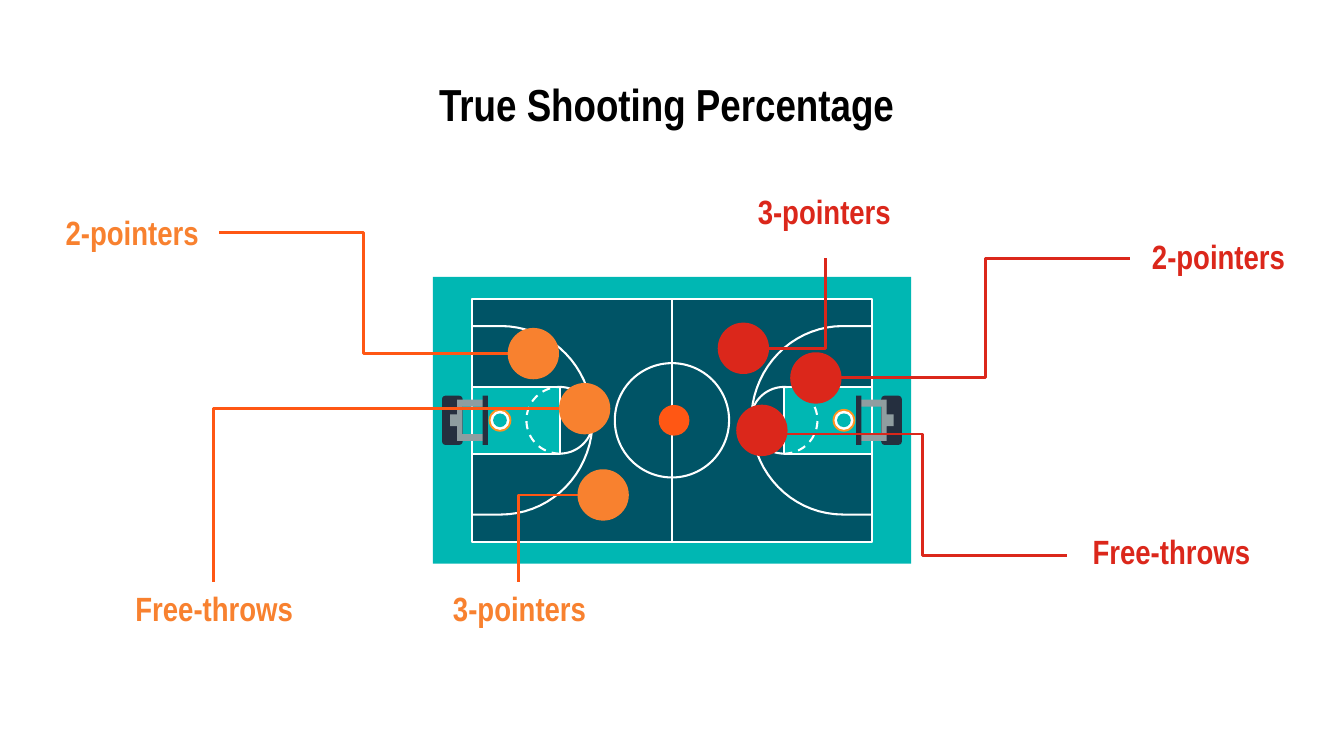
"""Build a slide that labels the shots counted in true shooting percentage on a basketball court."""
from math import cos, radians, sin

from lxml.etree import SubElement
from pptx import Presentation
from pptx.dml.color import RGBColor
from pptx.enum.dml import MSO_LINE
from pptx.enum.shapes import MSO_CONNECTOR, MSO_SHAPE
from pptx.enum.text import MSO_ANCHOR, PP_ALIGN
from pptx.oxml.ns import qn
from pptx.util import Cm, Pt

COLORS = {
    "black": "000000", "white": "FFFFFF", "floor": "005466", "border": "00B7B3",
    "post": "252F3F", "bracket": "8F9DA0", "rim": "FF931E", "ball": "FF5714",
    "orange": "F8812F", "orange line": "FF5714", "red": "DB271B", "red line": "DB271B",
}
FONT = "Arial Narrow"
PAGE_WIDTH, PAGE_HEIGHT = 25.4, 14.28
CENTER_X, CENTER_Y = 12.7, 7.94
COURT_LEFT, COURT_WIDTH, COURT_HEIGHT = 8.92, 7.56, 4.6
KEY_RIGHT, KEY_HEIGHT = 10.58, 1.26
HOOP_X = 9.45
DOT_SIZE = 0.97
TITLE = "True Shooting Percentage"

# label, team, label centre, dot centre, line start, line end, connector preset
CALLOUTS = [
    ("2-pointers", "orange", (2.5, 4.39), (10.08, 6.68), (9.6, 6.68), (4.14, 4.39), "bentConnector3"),
    ("Free-throws", "orange", (4.05, 11.48), (11.05, 7.72), (10.57, 7.72), (4.04, 11), "bentConnector2"),
    ("3-pointers", "orange", (9.82, 11.48), (11.4, 9.35), (10.92, 9.35), (9.8, 11), "bentConnector2"),
    ("3-pointers", "red", (15.58, 3.99), (14.05, 6.58), (14.53, 6.58), (15.6, 4.88), "bentConnector2"),
    ("2-pointers", "red", (23.03, 4.83), (15.42, 7.14), (15.9, 7.14), (21.36, 4.88), "bentConnector3"),
    ("Free-throws", "red", (22.14, 10.41), (14.4, 8.13), (14.71, 8.2), (20.17, 10.49), "bentConnector3"),
]
HOOP_RINGS = [("rim", 0.43), ("white", 0.36), ("border", 0.26)]
BRACKET_TOP = [(8.74, 7.68), (9.14, 7.68), (9.14, 7.55), (8.64, 7.55), (8.64, 7.83), (8.51, 7.83)]


def color(name):
    return RGBColor.from_string(COLORS[name])


def paint(shape, fill=None, line=None):
    shape.shadow.inherit = False
    if fill:
        shape.fill.solid()
        shape.fill.fore_color.rgb = color(fill)
    else:
        shape.fill.background()
    if line:
        shape.line.color.rgb = color(line)
        shape.line.width = Pt(1.1)
    else:
        shape.line.fill.background()
    return shape


def add_centered(page, kind, center, width, height, fill=None, line=None):
    x, y = center
    shape = page.shapes.add_shape(
        kind, Cm(x - width / 2), Cm(y - height / 2), Cm(width), Cm(height))
    return paint(shape, fill, line)


def add_outline(page, points, fill=None, line=None, close=False):
    corners = [(Cm(x), Cm(y)) for x, y in points]
    builder = page.shapes.build_freeform(*corners[0])
    builder.add_line_segments(corners[1:], close=close)
    return paint(builder.convert_to_shape(), fill, line)


def add_line(page, start, end, line, width, preset="line"):
    connector = page.shapes.add_connector(
        MSO_CONNECTOR.ELBOW, Cm(start[0]), Cm(start[1]), Cm(end[0]), Cm(end[1]))
    properties = connector.element.spPr
    properties.find(qn("a:prstGeom")).set("prst", preset)
    connector.line.color.rgb = color(line)
    connector.line.width = Pt(width)
    SubElement(properties, qn("a:effectLst"))


def add_text(page, text, center, width, height, size, ink):
    x, y = center
    box = page.shapes.add_textbox(
        Cm(x - width / 2), Cm(y - height / 2), Cm(width), Cm(height))
    frame = box.text_frame
    frame.text = text
    frame.word_wrap = True
    frame.vertical_anchor = MSO_ANCHOR.MIDDLE
    frame.margin_left = frame.margin_right = frame.margin_top = frame.margin_bottom = Cm(0.25)
    paragraph = frame.paragraphs[0]
    paragraph.alignment = PP_ALIGN.CENTER
    font = paragraph.runs[0].font
    font.name, font.size, font.bold = FONT, Pt(size), True
    font.color.rgb = color(ink)


def arc(x, radius_x, radius_y, first, last):
    steps = 36
    angles = [radians(first + (last - first) * step / steps) for step in range(steps + 1)]
    return [(x + radius_x * cos(angle), CENTER_Y + radius_y * sin(angle)) for angle in angles]


def add_half(page, mirrored):
    def place(points):
        return [(2 * CENTER_X - x, y) if mirrored else (x, y) for x, y in points]

    def middle(x):
        return place([(x, CENTER_Y)])[0]

    key_width = KEY_RIGHT - COURT_LEFT
    key_radius = KEY_HEIGHT / 2
    add_centered(page, MSO_SHAPE.RECTANGLE, middle(COURT_LEFT + key_width / 2),
                 key_width, KEY_HEIGHT, "border", "white")
    curve = arc(9.47, 1.73, 1.78, -90, 90)
    three_point = [(COURT_LEFT, curve[0][1]), *curve, (COURT_LEFT, curve[-1][1])]
    add_outline(page, place(three_point), line="white")
    add_outline(page, place(arc(KEY_RIGHT, key_radius, key_radius, -90, 90)), line="white")
    dashed = add_outline(page, place(arc(KEY_RIGHT, key_radius, key_radius, 90, 270)), line="white")
    dashed.line.dash_style = MSO_LINE.DASH

    add_centered(page, MSO_SHAPE.ROUNDED_RECTANGLE, middle(8.55), 0.39, 0.93, "post")
    bracket_bottom = [(x, 2 * CENTER_Y - y) for x, y in reversed(BRACKET_TOP)]
    add_outline(page, place(BRACKET_TOP + bracket_bottom), "bracket", close=True)
    add_centered(page, MSO_SHAPE.RECTANGLE, middle(9.17), 0.1, 0.93, "post")
    for fill, size in HOOP_RINGS:
        add_centered(page, MSO_SHAPE.OVAL, middle(HOOP_X), size, size, fill)


def add_court(page):
    center = (CENTER_X, CENTER_Y)
    add_centered(page, MSO_SHAPE.RECTANGLE, center, 9.04, 5.42, "border")
    add_centered(page, MSO_SHAPE.RECTANGLE, center, COURT_WIDTH, COURT_HEIGHT, "floor", "white")
    add_line(page, (CENTER_X, CENTER_Y - COURT_HEIGHT / 2),
             (CENTER_X, CENTER_Y + COURT_HEIGHT / 2), "white", 1.1)
    add_centered(page, MSO_SHAPE.OVAL, center, 2.16, 2.16, line="white")
    for mirrored in (False, True):
        add_half(page, mirrored)


def main():
    deck = Presentation()
    deck.slide_width, deck.slide_height = Cm(PAGE_WIDTH), Cm(PAGE_HEIGHT)
    page = deck.slides.add_slide(deck.slide_layouts[6])
    add_text(page, TITLE, (12.6, 1.95), 22.86, 1.6, 24, "black")
    add_court(page)
    for label, team, label_center, dot, start, end, preset in CALLOUTS:
        add_text(page, label, label_center, 5.51, 0.97, 18, team)
        add_line(page, start, end, f"{team} line", 1.5, preset)
    for label, team, label_center, dot, *route in CALLOUTS:
        add_centered(page, MSO_SHAPE.OVAL, dot, DOT_SIZE, DOT_SIZE, team)
    add_centered(page, MSO_SHAPE.OVAL, (12.74, CENTER_Y), 0.58, 0.58, "ball")
    deck.save("out.pptx")


if __name__ == "__main__":
    main()
